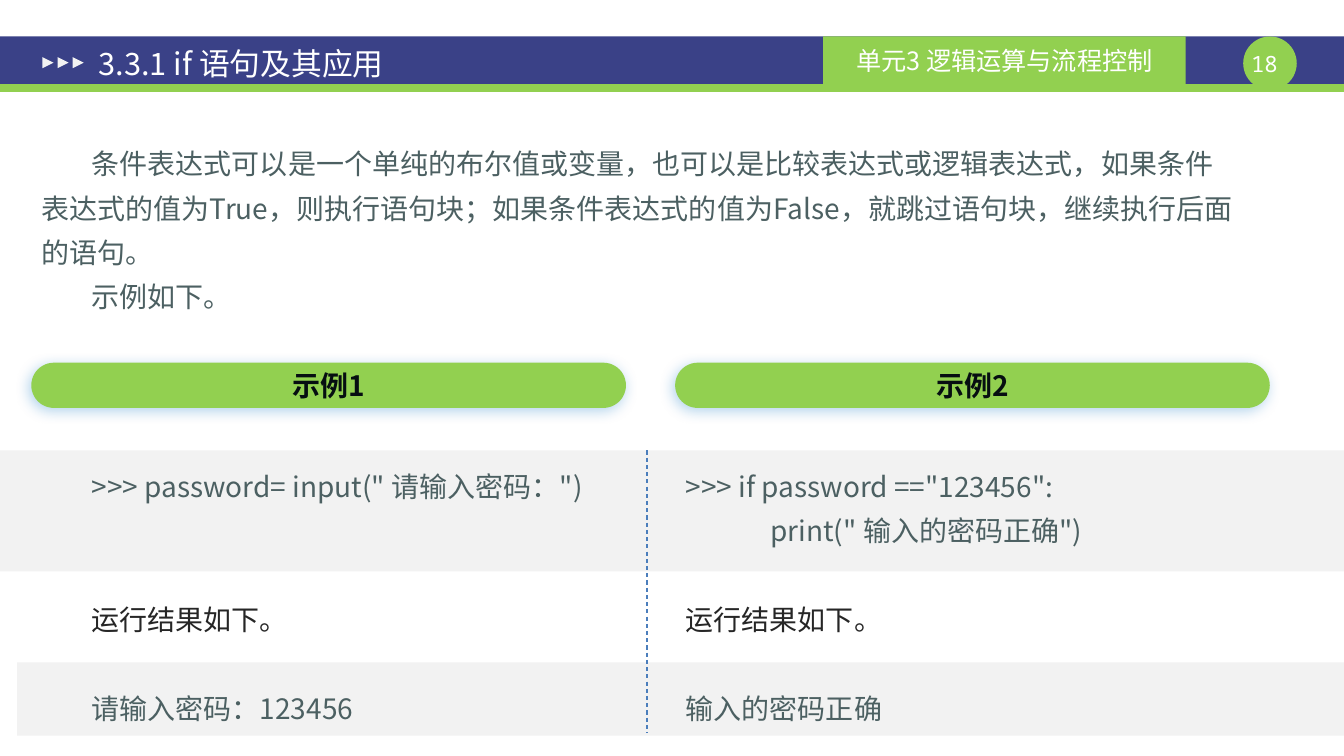
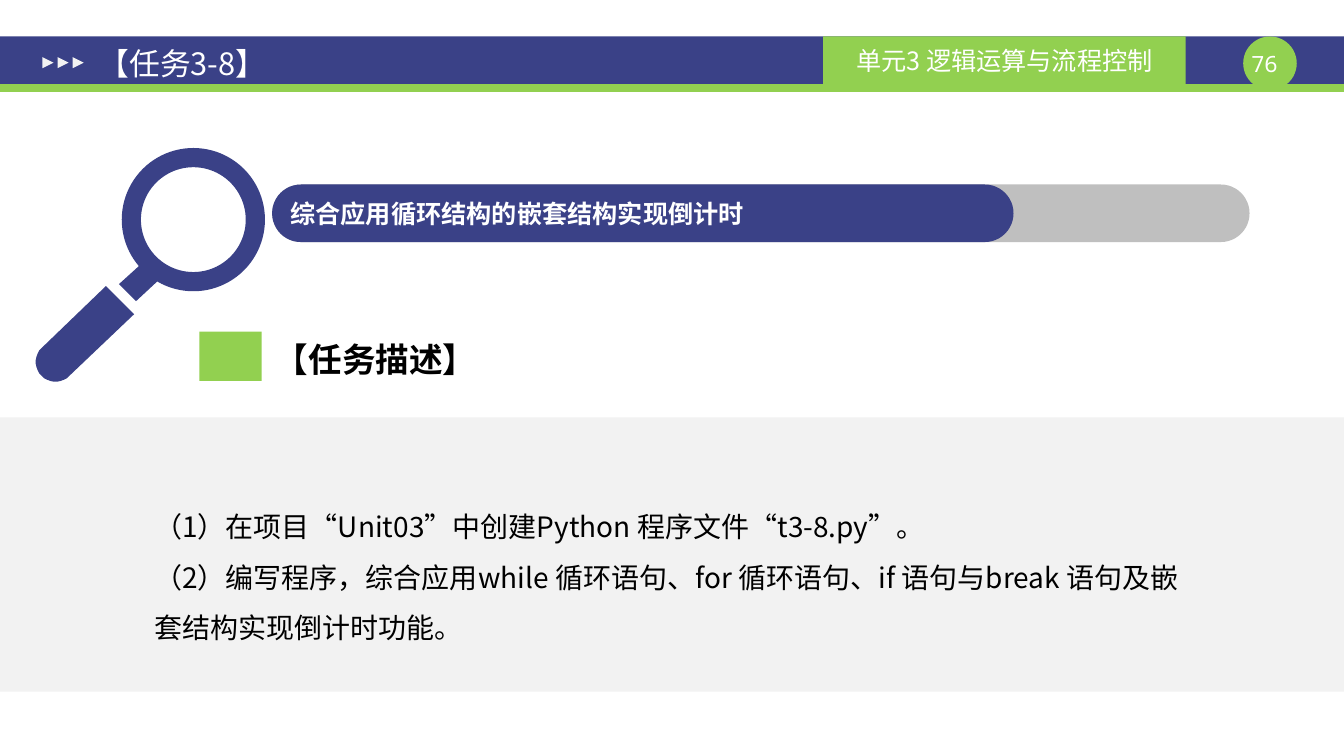
"""Build two lesson slides on the if statement and a nested-loop task."""
from math import cos, radians, sin

from lxml.etree import SubElement
from pptx import Presentation
from pptx.dml.color import RGBColor
from pptx.enum.dml import MSO_LINE
from pptx.enum.shapes import MSO_CONNECTOR, MSO_SHAPE as Preset
from pptx.enum.text import MSO_ANCHOR as Anchor, MSO_AUTO_SIZE as AutoSize, PP_ALIGN as Align
from pptx.oxml import parse_xml
from pptx.oxml.ns import nsdecls, qn
from pptx.util import Cm, Pt

NAVY = RGBColor(0x3A, 0x41, 0x87)
GREEN = RGBColor(0x92, 0xD0, 0x50)
WHITE = RGBColor(0xFF, 0xFF, 0xFF)
PALE = RGBColor(0xF2, 0xF2, 0xF2)
SILVER = RGBColor(0xBF, 0xBF, 0xBF)
SLATE = RGBColor(0x4C, 0x60, 0x62)
CHARCOAL = RGBColor(0x26, 0x26, 0x26)
INK = RGBColor(0x06, 0x0E, 0x11)
BLACK = RGBColor(0, 0, 0)
DASH_BLUE = RGBColor(0x4B, 0x7E, 0xBC)
SANS = "Noto Sans CJK SC"
MONO = "Noto Sans Mono"
WIDTH = 33.88
LEADING = 31.7


def block(slide, preset, left, top, width, height, fill):
    shape = slide.shapes.add_shape(preset, Cm(left), Cm(top), Cm(width), Cm(height))
    shape.shadow.inherit = False
    shape.fill.solid()
    shape.fill.fore_color.rgb = fill
    shape.line.fill.background()
    return shape


def style(paragraph, size, color, bold=False, align=Align.LEFT, leading=1.0,
          before=0, indent=0, face=SANS):
    paragraph.alignment = align
    paragraph.line_spacing = leading
    paragraph.space_before = Pt(before)
    props = paragraph._p.get_or_add_pPr()
    props.set("marL", "0")
    props.set("indent", str(Cm(indent)))
    SubElement(props, qn("a:buNone"))
    font = paragraph.font
    font.name, font.size, font.bold = face, Pt(size), bold
    font.color.rgb = color
    SubElement(props.find(qn("a:defRPr")), qn("a:ea"), typeface=face)


deck = Presentation()
deck.slide_width, deck.slide_height = Cm(WIDTH), Cm(19.05)
layout = deck.slide_layouts[1]
title_holder = layout.placeholders[0]
title_holder.left, title_holder.top = Cm(2.16), Cm(1.02)
title_holder.width, title_holder.height = Cm(18.29), Cm(1.12)
example, task = [deck.slides.add_slide(layout) for _ in range(2)]

unit = block(example, Preset.RECTANGLE, 20.75, 0.92, 9.14, 1.2, GREEN)
unit.text_frame.text = "单元3 逻辑运算与流程控制"
style(unit.text_frame.paragraphs[0], 18, WHITE, align=Align.CENTER)
header = [
    block(example, Preset.RECTANGLE, 0, 0.92, WIDTH, 1.2, NAVY),
    block(example, Preset.RECTANGLE, 0, 2.12, WIDTH, 0.2, GREEN),
    block(example, Preset.OVAL, 31.34, 0.92, 1.35, 1.35, GREEN),
    unit,
]
for step in range(3):
    arrow = block(example, Preset.ISOSCELES_TRIANGLE, 1.07 + 0.38 * step, 1.44, 0.28, 0.28, PALE)
    arrow.rotation = 90
    header.append(arrow)
for part in header:
    layout.shapes.element.append(part.element)

for slide, heading, number in ((example, "3.3.1 if 语句及其应用", "18"), (task, "【任务3-8】", "76")):
    frame = slide.shapes.title.text_frame
    frame.text = heading
    frame.auto_size = AutoSize.NONE
    frame.vertical_anchor = Anchor.MIDDLE
    frame.margin_left = frame.margin_right = Cm(0.33)
    frame.margin_top = frame.margin_bottom = 0
    style(frame.paragraphs[0], 22, WHITE)
    page = slide.shapes.add_textbox(Cm(31.2), Cm(1.25), Cm(1.35), Cm(0.69)).text_frame
    page.margin_left = page.margin_right = page.margin_top = page.margin_bottom = 0
    page.vertical_anchor = Anchor.MIDDLE
    page.word_wrap = True
    page.text = number
    style(page.paragraphs[0], 16, WHITE, align=Align.CENTER, face=MONO)

block(example, Preset.RECTANGLE, 0, 11.35, WIDTH, 3.05, PALE)
block(example, Preset.RECTANGLE, 0.43, 16.69, WIDTH - 0.43, 1.85, PALE)

explanation = [
    "条件表达式可以是一个单纯的布尔值或变量，也可以是比较表达式或逻辑表达式，如果条件表达式的值为True，"
    "则执行语句块；如果条件表达式的值为False，就跳过语句块，继续执行后面的语句。",
    "示例如下。",
]
steps = [
    "（1）在项目“Unit03”中创建Python 程序文件“t3-8.py”。",
    "（2）编写程序，综合应用while 循环语句、for 循环语句、if 语句与break 语句及嵌套结构实现倒计时功能。",
]
for slide, lines, box, color, leading, indent in (
    (example, explanation, (0.79, 3.3, 30.76, 5), SLATE, LEADING, 1.27),
    (task, steps, (3.63, 12.3, 26.64, 4.11), BLACK, 36, 0),
):
    body = slide.placeholders[1]
    body.left, body.top, body.width, body.height = map(Cm, box)
    body.text_frame.text = "\n".join(lines)
    body.text_frame.auto_size = AutoSize.NONE
    for paragraph in body.text_frame.paragraphs:
        style(paragraph, 20, color, leading=Pt(leading), indent=indent)

columns = (
    ("示例1", 0.79, 0.79, [
        ('>>> password= input(" 请输入密码：")', SLATE, 0, 1.27),
        ("运行结果如下。", CHARCOAL, 2, 1.27),
        ("请输入密码：123456", SLATE, 1, 1.27),
    ]),
    ("示例2", 17.02, 15.77, [
        ('>>> if password =="123456":', SLATE, 0, 1.27),
        ('print(" 输入的密码正确")', SLATE, 0, 3.4),
        ("运行结果如下。", CHARCOAL, 1, 1.27),
        ("输入的密码正确", SLATE, 1, 1.27),
    ]),
)
for label, label_left, listing_left, lines in columns:
    pill = block(example, Preset.ROUNDED_RECTANGLE, label_left, 9.14, 14.99, 1.14, GREEN)
    pill.adjustments[0] = 0.5
    pill.text_frame.text = label
    style(pill.text_frame.paragraphs[0], 20, INK, bold=True, align=Align.CENTER)
    glow = pill.element.spPr.find(qn("a:effectLst"))
    glow.append(parse_xml(
        f'<a:outerShdw {nsdecls("a")} blurRad="{Pt(10)}" dist="{Pt(3)}" dir="8100000">'
        '<a:srgbClr val="0070C0"><a:alpha val="30000"/></a:srgbClr></a:outerShdw>'))
    listing = example.shapes.add_textbox(Cm(listing_left), Cm(11.43), Cm(15.4), Cm(7.04)).text_frame
    listing.word_wrap = True
    listing.text = "\n".join(line[0] for line in lines)
    for paragraph, (_, color, gap, indent) in zip(listing.paragraphs, lines):
        style(paragraph, 20, color, leading=Pt(LEADING), before=gap * LEADING, indent=indent)

divider = example.shapes.add_connector(MSO_CONNECTOR.STRAIGHT, Cm(16.31), Cm(11.35), Cm(16.31), Cm(18.47))
divider.line.color.rgb = DASH_BLUE
divider.line.width = Pt(0.75)
divider.line.dash_style = MSO_LINE.DASH
SubElement(divider.element.spPr, qn("a:effectLst"))

block(task, Preset.RECTANGLE, 0, 10.52, WIDTH, 6.91, PALE)
task.shapes.element.append(task.placeholders[1].element)

for length, fill in ((24.64, SILVER), (18.69, NAVY)):
    bar = block(task, Preset.ROUNDED_RECTANGLE, 6.86, 4.65, length, 1.45, fill)
    bar.adjustments[0] = 0.5
bar.text_frame.text = "综合应用循环结构的嵌套结构实现倒计时"
style(bar.text_frame.paragraphs[0], 18, WHITE, bold=True)

lens = block(task, Preset.DONUT, 3.07, 3.73, 3.61, 3.61, NAVY)
lens.adjustments[0] = 0.134
neck = [(414, 693), (343, 759), (300, 716), (373, 650)]
rounded_end = [(140 + 50 * cos(radians(a)), 912 + 50 * sin(radians(a))) for a in range(225, 44, -10)]
handle = [(267, 721), *rounded_end, (338, 792)]
for outline in (neck, handle):
    builder = task.shapes.build_freeform(*outline[0], scale=Cm(0.01))
    builder.add_line_segments(outline[1:], close=True)
    piece = builder.convert_to_shape()
    piece.shadow.inherit = False
    piece.fill.solid()
    piece.fill.fore_color.rgb = NAVY
    piece.line.fill.background()

block(task, Preset.RECTANGLE, 5.03, 8.36, 1.57, 1.24, GREEN)
caption = task.shapes.add_textbox(Cm(6.68), Cm(8.41), Cm(6.25), Cm(1.27)).text_frame
caption.word_wrap = True
caption.vertical_anchor = Anchor.MIDDLE
caption.text = "【任务描述】"
style(caption.paragraphs[0], 24, BLACK, bold=True)

deck.save("out.pptx")
